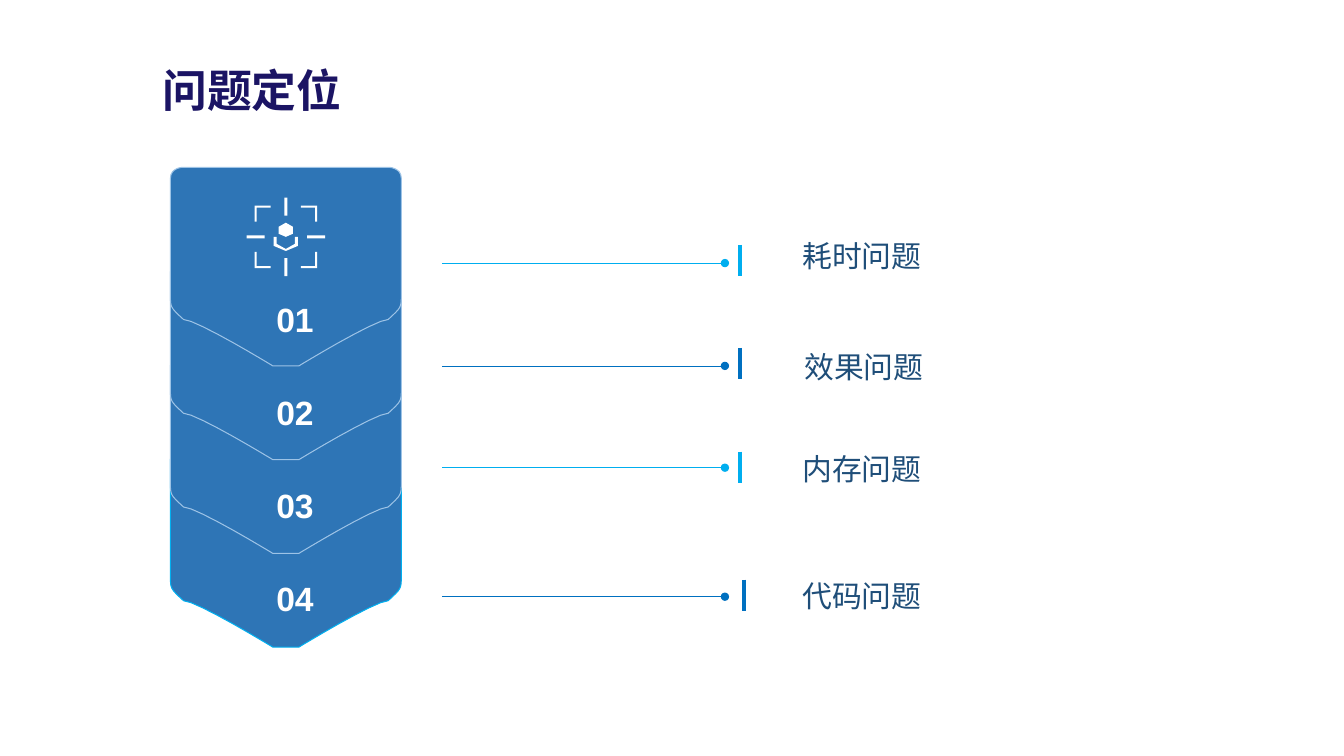
from lxml import etree
from pptx import Presentation
from pptx.dml.color import RGBColor
from pptx.enum.shapes import MSO_CONNECTOR, MSO_SHAPE
from pptx.enum.text import MSO_ANCHOR, PP_ALIGN
from pptx.oxml.ns import qn
from pptx.util import Inches, Pt

STRAIGHT = MSO_CONNECTOR.STRAIGHT
RECTANGLE = MSO_SHAPE.RECTANGLE
MIDDLE, TOP = MSO_ANCHOR.MIDDLE, MSO_ANCHOR.TOP
LEFT, CENTER = PP_ALIGN.LEFT, PP_ALIGN.CENTER

COLORS = {
    "title": "1B1464", "band": "2E75B6", "band_edge": "9DC3E6",
    "last_edge": "00B0F0", "cyan": "00AEEF", "blue": "0070C0",
    "label": "1F4E79", "white": "FFFFFF",
}
CJK, LATIN = "Noto Sans CJK SC", "Arial"

# Leader y, marker x, marker top, label x, label top, colour, wording
PROBLEMS = [
    (2.61, 7.34, 2.43, 7.86, 2.31, "cyan", "耗时问题"),
    (3.63, 7.34, 3.45, 7.88, 3.41, "blue", "效果问题"),
    (4.64, 7.34, 4.48, 7.86, 4.42, "cyan", "内存问题"),
    (5.92, 7.38, 5.75, 7.86, 5.68, "blue", "代码问题"),
]


def rgb(name):
    return RGBColor.from_string(COLORS[name])


def add_text(slide, box, words, size, font, color, bold=False, align=LEFT,
             anchor=TOP, wrap=True, spacing=None, insets=(0.1, 0.05, 0.1, 0.05)):
    frame = slide.shapes.add_textbox(*map(Inches, box)).text_frame
    frame.word_wrap = wrap
    frame.vertical_anchor = anchor
    (frame.margin_left, frame.margin_top,
     frame.margin_right, frame.margin_bottom) = map(Inches, insets)
    paragraph = frame.paragraphs[0]
    paragraph.alignment = align
    paragraph.line_spacing = spacing
    run = paragraph.add_run()
    run.text = words
    run.font.size, run.font.bold, run.font.name = Pt(size), bold, font
    run.font.color.rgb = rgb(color)
    etree.SubElement(run.font._element, qn("a:ea")).set("typeface", font)


def paint(shape, fill, edge=None):
    shape.shadow.inherit = False
    shape.fill.solid()
    shape.fill.fore_color.rgb = rgb(fill)
    if edge:
        shape.line.color.rgb = rgb(edge)
        shape.line.width = Pt(0.75)
    else:
        shape.line.fill.background()


def add_outline(shapes, points, fill, edge=None):
    points = [(Inches(x), Inches(y)) for x, y in points]
    builder = shapes.build_freeform(*points[0])
    builder.add_line_segments(points[1:], close=True)
    paint(builder.convert_to_shape(), fill, edge)


def add_line(slide, start, end, color, width, dot=False):
    line = slide.shapes.add_connector(STRAIGHT, *map(Inches, start + end))
    line.line.color.rgb = rgb(color)
    line.line.width = Pt(width)
    if dot:
        etree.SubElement(line.line._get_or_add_ln(), qn("a:headEnd")).set("type", "oval")
    etree.SubElement(line._element.spPr, qn("a:effectLst"))


def bezier(p0, p1, p2, p3, steps=8):
    """Points along a cubic curve, without its start."""
    curve = []
    for step in range(1, steps + 1):
        t = step / steps
        weights = ((1 - t) ** 3, 3 * t * (1 - t) ** 2, 3 * t * t * (1 - t), t ** 3)
        curve.append(tuple(sum(w * p[axis] for w, p in zip(weights, (p0, p1, p2, p3)))
                           for axis in (0, 1)))
    return curve


def add_band(slide, left, top, width, height, edge):
    """Rounded band with a blunt point at the bottom."""
    middle, corner, tip = width / 2, 0.13, 0.13
    right_half = [(middle, 0), (width - corner, 0)]
    for curve in (
        ((width - corner, 0), (width, 0), (width, 0.11)),
        ((width, 0.11), (width, 1.16), (width, 1.27)),
        ((width, 1.39), (width, 1.39), (width - corner, 1.51)),
        ((width - 0.26, 1.51), (middle + tip, height), (middle + tip, height)),
    ):
        right_half += bezier(right_half[-1], *curve)
    left_half = [(width - x, y) for x, y in reversed(right_half)]
    add_outline(slide.shapes, [(left + x, top + y) for x, y in right_half + left_half],
                "band", edge)


def add_target_icon(slide, cx, cy):
    icon = slide.shapes.add_group_shape().shapes
    reach, inner, arm = 0.31, 0.29, 0.15
    bracket = [(reach, reach), (reach, arm), (inner, arm),
               (inner, inner), (arm, inner), (arm, reach)]
    for sx in (-1, 1):
        for sy in (-1, 1):
            add_outline(icon, [(cx + sx * x, cy + sy * y) for x, y in bracket], "white")

    length, thick, offset = 0.18, 0.03, 0.3
    for dx, dy in ((-1, 0), (1, 0), (0, 1), (0, -1)):
        w, h = (length, thick) if dx else (thick, length)
        tick = (cx + dx * offset - w / 2, cy + dy * offset - h / 2, w, h)
        paint(icon.add_shape(RECTANGLE, *map(Inches, tick)), "white")

    hexagon = [(0, -0.14), (0.07, -0.1), (0.07, -0.03),
               (0, 0), (-0.07, -0.03), (-0.07, -0.1)]
    cup = [(-0.12, 0), (-0.12, 0.09), (0, 0.14), (0.12, 0.09), (0.12, 0),
           (0.09, 0), (0.09, 0.07), (0, 0.12), (-0.09, 0.07), (-0.09, 0)]
    for outline in (hexagon, cup):
        add_outline(icon, [(cx + x, cy + y) for x, y in outline], "white")


def add_band_stack(slide, left, top, width, height, count=4):
    """Overlapping numbered bands, the first in front."""
    band_height = 1.97
    step = (height - band_height) / (count - 1)
    for index in reversed(range(count)):
        edge = "last_edge" if index == count - 1 else "band_edge"
        add_band(slide, left, top + index * step, width, band_height, edge)
    for index in range(count):
        add_text(slide, (left + 0.42, top + 1.14 + index * 0.923, 1.45, 0.56),
                 f"{index + 1:02}", 24, LATIN, "white", bold=True, align=CENTER,
                 spacing=1.3, insets=(0.28, 0.05, 0.1, 0.05))
    add_target_icon(slide, left + width / 2, top + 0.69)


def add_problems(slide, left, right):
    for y, marker_x, marker_top, label_x, label_top, color, wording in PROBLEMS:
        add_line(slide, (right, y), (left, y), color, 0.5, dot=True)
        add_line(slide, (marker_x, marker_top), (marker_x, marker_top + 0.31), color, 3)
        add_text(slide, (label_x, label_top, 1.39, 0.45), wording, 21.3, CJK,
                 "label", wrap=False)


def main():
    deck = Presentation()
    deck.slide_width, deck.slide_height = Inches(13.33), Inches(7.5)
    slide = deck.slides.add_slide(deck.slide_layouts[6])
    add_text(slide, (1.48, 0.12, 7.09, 1.14), "问题定位", 32, CJK, "title", bold=True,
             anchor=MIDDLE, spacing=Pt(66.7), insets=(0.13, 0.07, 0.13, 0.07))
    add_band_stack(slide, 1.69, 1.66, 2.29, 4.76)
    add_problems(slide, 4.38, 7.19)
    deck.save("out.pptx")


if __name__ == "__main__":
    main()
